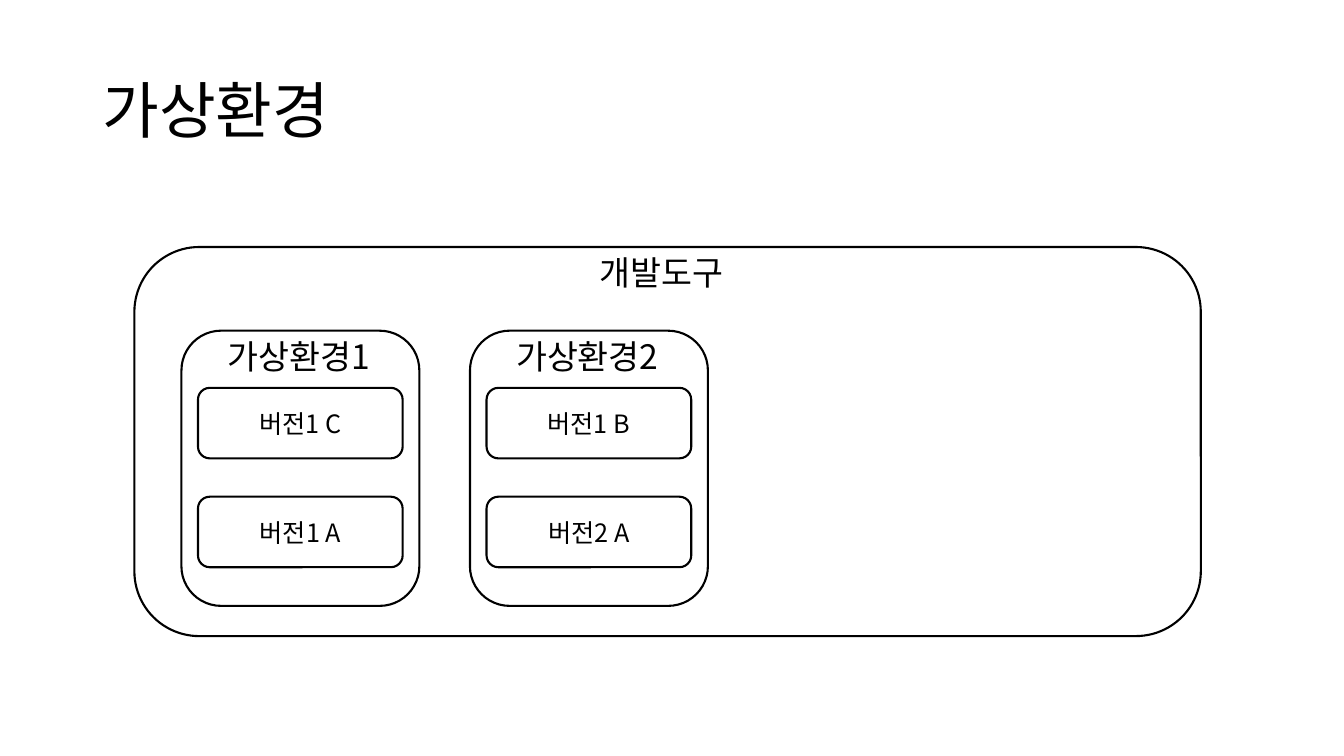
from dataclasses import dataclass

from lxml.etree import SubElement
from pptx import Presentation
from pptx.dml.color import RGBColor
from pptx.enum.shapes import MSO_SHAPE
from pptx.enum.text import MSO_ANCHOR, MSO_AUTO_SIZE, PP_ALIGN
from pptx.oxml.ns import qn
from pptx.shapes.autoshape import Shape
from pptx.shapes.shapetree import GroupShapes, SlideShapes
from pptx.text.text import TextFrame
from pptx.util import Inches, Pt

FONT = "Noto Sans CJK KR"
COLOURS = {"ink": "000000", "paper": "FFFFFF"}
WIDTH, HEIGHT = Inches(13.33), Inches(7.5)


@dataclass(frozen=True)
class Area:
    """A rectangle in percent of the slide's width and height."""
    left: float
    top: float
    width: float
    height: float

    def lengths(self) -> tuple[int, int, int, int]:
        return (int(WIDTH * self.left / 100), int(HEIGHT * self.top / 100),
                int(WIDTH * self.width / 100), int(HEIGHT * self.height / 100))


@dataclass(frozen=True)
class Environment:
    name: str
    label_width: float
    versions: tuple[str, ...]


TITLE_AREA = Area(6.88, 5.32, 86.25, 19.33)
CONTAINER_AREA = Area(10, 32.67, 79.35, 51.47)
CONTAINER_LABEL_AREA = Area(43.88, 32.67, 11.63, 6.73)
ENVIRONMENT_LEFT, ENVIRONMENT_TOP, ENVIRONMENT_STEP = 13.5, 43.75, 21.47
VERSION_TOP, VERSION_STEP = 51.3, 14.4
ENVIRONMENTS = (
    Environment("가상환경1", 14.48, ("버전1 C", "버전1 A")),
    Environment("가상환경2", 18.75, ("버전1 B", "버전2 A")),
)


def colour(name: str) -> RGBColor:
    return RGBColor.from_string(COLOURS[name])


def write(frame: TextFrame, text: str, size: int, frame_format: dict,
          paragraph_format: dict) -> None:
    """Put one formatted paragraph into a text frame."""
    paragraph = frame.paragraphs[0]
    for target, values in ((frame, frame_format), (paragraph, paragraph_format)):
        for name, value in values.items():
            setattr(target, name, value)
    run = paragraph.add_run()
    run.text = text
    for name, value in {"name": FONT, "size": Pt(size)}.items():
        setattr(run.font, name, value)
    run.font.color.rgb = colour("ink")
    # East Asian typeface for the Korean letters
    SubElement(run.font._element, qn("a:ea"), typeface=FONT)


def add_box(shapes: SlideShapes | GroupShapes, area: Area) -> Shape:
    shape = shapes.add_shape(MSO_SHAPE.ROUNDED_RECTANGLE, *area.lengths())
    shape.shadow.inherit = False
    shape.fill.solid()
    shape.fill.fore_color.rgb = colour("paper")
    shape.line.color.rgb = colour("ink")
    shape.line.width = Pt(1.5)
    return shape


def add_labelled_box(shapes: SlideShapes, area: Area, label_area: Area,
                     text: str, wrap: bool) -> None:
    """Group a rounded box with the label at its top."""
    group = shapes.add_group_shape()
    add_box(group.shapes, area)
    label = group.shapes.add_textbox(*label_area.lengths())
    write(label.text_frame, text, 24,
          {"word_wrap": wrap, "auto_size": MSO_AUTO_SIZE.SHAPE_TO_FIT_TEXT},
          {"alignment": PP_ALIGN.LEFT})


def main() -> None:
    presentation = Presentation()
    presentation.slide_width, presentation.slide_height = WIDTH, HEIGHT
    slide = presentation.slides.add_slide(presentation.slide_layouts[5])
    shapes = slide.shapes

    # Title
    title = shapes.title
    title.left, title.top, title.width, title.height = TITLE_AREA.lengths()
    write(title.text_frame, "가상환경", 44,
          {"vertical_anchor": MSO_ANCHOR.MIDDLE, "auto_size": MSO_AUTO_SIZE.NONE},
          {"alignment": PP_ALIGN.LEFT, "line_spacing": 0.9})

    # Outer container
    add_labelled_box(shapes, CONTAINER_AREA, CONTAINER_LABEL_AREA, "개발도구", False)

    # Environments with their versions
    for column, environment in enumerate(ENVIRONMENTS):
        left = ENVIRONMENT_LEFT + column * ENVIRONMENT_STEP
        add_labelled_box(
            shapes, Area(left, ENVIRONMENT_TOP, 17.7, 36.4),
            Area(left + 2.7, ENVIRONMENT_TOP, environment.label_width, 6.73),
            environment.name, True)
        for row, version in enumerate(environment.versions):
            top = VERSION_TOP + row * VERSION_STEP
            box = add_box(shapes, Area(left + 1.23, top, 15.23, 9.33))
            write(box.text_frame, version, 18,
                  {"word_wrap": True, "vertical_anchor": MSO_ANCHOR.MIDDLE},
                  {"alignment": PP_ALIGN.CENTER})

    presentation.save("out.pptx")


if __name__ == "__main__":
    main()
